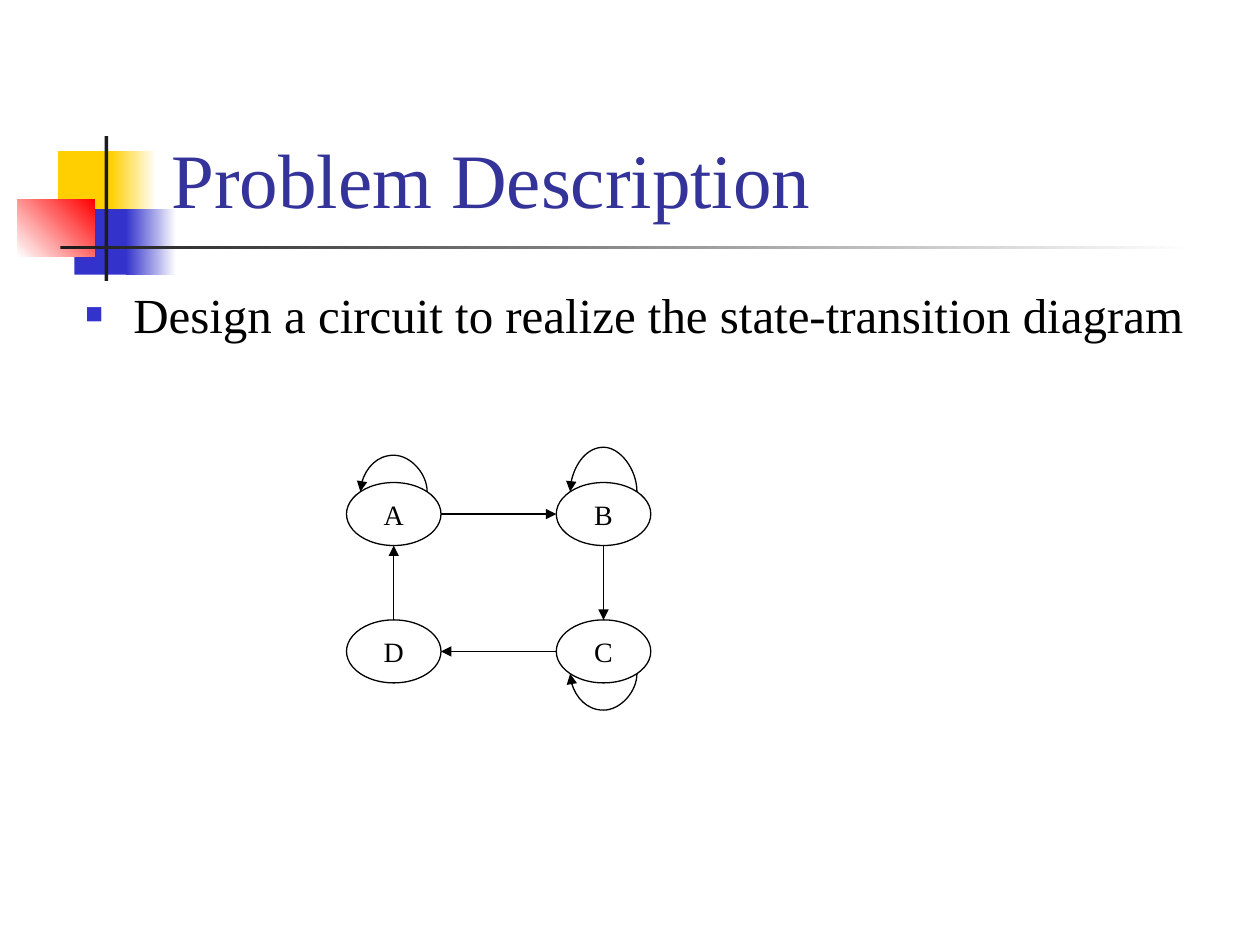
from lxml.etree import SubElement
from pptx import Presentation
from pptx.dml.color import RGBColor
from pptx.enum.shapes import MSO_CONNECTOR, MSO_SHAPE
from pptx.enum.text import MSO_ANCHOR, MSO_AUTO_SIZE, PP_ALIGN
from pptx.oxml.ns import qn
from pptx.util import Inches, Pt

FONT = "Times New Roman"


def color(hex_string):
    return RGBColor.from_string(hex_string)


def write(shape, text, size, hex_string, **frame_format):
    """Fill a shape with one formatted paragraph and return the paragraph."""
    frame = shape.text_frame
    values = {"word_wrap": True, "auto_size": MSO_AUTO_SIZE.NONE, **frame_format}
    for name, value in values.items():
        setattr(frame, name, value)
    paragraph = frame.paragraphs[0]
    run = paragraph.add_run()
    run.text = text
    for name, value in {"name": FONT, "size": Pt(size)}.items():
        setattr(run.font, name, value)
    run.font.color.rgb = color(hex_string)
    return paragraph


presentation = Presentation()
presentation.slide_width = Inches(10)
presentation.slide_height = Inches(7.5)
slide = presentation.slides.add_slide(presentation.slide_layouts[5])
shapes = slide.shapes

# Grid of 10 columns by 7.5 rows
column = presentation.slide_width / 10
row = presentation.slide_height / 7.5

# Title
title = shapes.title
title_box = {"left": 1.26 * column, "top": 0.23 * row,
             "width": 8.52 * column, "height": 1.6 * row}
for name, value in title_box.items():
    setattr(title, name, int(value))
paragraph = write(title, "Problem Description", 44, "333399",
                  vertical_anchor=MSO_ANCHOR.BOTTOM)
paragraph.alignment = PP_ALIGN.LEFT

# Decorative blocks and rules: left, top, width, height, colours, angle
decorations = [
    (0.46, 1.2, 0.48, 0.52, ["FFCF01"], 0),
    (0.88, 1.2, 0.36, 0.52, ["FFCF01", "FFFFFF"], 0),
    (0.59, 1.66, 0.46, 0.52, ["3333CC"], 0),
    (1, 1.66, 0.4, 0.52, ["3333CC", "FFFFFF"], 0),
    (0.14, 1.58, 0.61, 0.46, ["FFFFFF", "FF0000"], 45),
    (0.83, 1.08, 0.03, 1.15, ["1C1C1C"], 0),
    (0.48, 1.95, 9, 0.03, ["1C1C1C", "FFFFFF"], 0),
]
for left, top, width, height, colors, angle in decorations:
    block = shapes.add_shape(MSO_SHAPE.RECTANGLE, int(left * column), int(top * row),
                             int(width * column), int(height * row))
    block.shadow.inherit = False
    block.line.fill.background()
    if len(colors) == 1:
        block.fill.solid()
        block.fill.fore_color.rgb = color(colors[0])
    else:
        block.fill.gradient()
        block.fill.gradient_angle = angle
        for stop, hex_string in zip(block.fill.gradient_stops, colors):
            stop.color.rgb = color(hex_string)
# The title text lies above the decoration
shapes._spTree.append(title._element)

# Bulleted statement
body = shapes.add_textbox(int(0.58 * column), int(2.21 * row),
                          int(9.21 * column), int(0.71 * row))
paragraph = write(body, "Design a circuit to realize the state-transition diagram",
                  28, "000000")
properties = paragraph._p.get_or_add_pPr()
properties.set("marL", str(Inches(0.38)))
properties.set("indent", str(-Inches(0.38)))
bullet_color = SubElement(properties, qn("a:buClr"))
SubElement(bullet_color, qn("a:srgbClr"), val="3333CC")
SubElement(properties, qn("a:buSzPct"), val="60000")
SubElement(properties, qn("a:buFont"), typeface=FONT)
SubElement(properties, qn("a:buChar"), char="■")

# States on a two by two grid, given by their centres
state_width, state_height = 0.75 * column, 0.5 * row
left_x, right_x = 3.125 * column, 4.79 * column
upper_y, lower_y = 4.08 * row, 5.17 * row
states = {"A": (left_x, upper_y), "B": (right_x, upper_y),
          "C": (right_x, lower_y), "D": (left_x, lower_y)}
for label, (x, y) in states.items():
    oval = shapes.add_shape(MSO_SHAPE.OVAL, int(x - state_width / 2),
                            int(y - state_height / 2),
                            int(state_width), int(state_height))
    oval.shadow.inherit = False
    oval.fill.background()
    oval.line.color.rgb = color("000000")
    oval.line.width = Pt(0.75)
    paragraph = write(oval, label, 16, "000000", vertical_anchor=MSO_ANCHOR.MIDDLE)
    paragraph.alignment = PP_ALIGN.CENTER

# Transitions from rim to rim
arrows = []
for start, end in ["AB", "BC", "CD", "DA"]:
    (x1, y1), (x2, y2) = states[start], states[end]
    step_x = (x2 > x1) - (x2 < x1)
    step_y = (y2 > y1) - (y2 < y1)
    arrows.append(shapes.add_connector(
        MSO_CONNECTOR.STRAIGHT,
        int(x1 + step_x * state_width / 2), int(y1 + step_y * state_height / 2),
        int(x2 - step_x * state_width / 2), int(y2 - step_y * state_height / 2)))

# Self loops: a very thin curve turned upright, its bulge set by the adjustment
thin = Pt(0.125)
span = state_width / 2 ** 0.5
rim = state_height / 8 ** 0.5
for label, side, bulge in [("A", -1, 0.32), ("B", -1, 0.39), ("C", 1, 0.32)]:
    x, y = states[label]
    middle = y + side * rim
    loop = shapes.add_connector(
        MSO_CONNECTOR.CURVE, int(x - thin / 2), int(middle - side * span / 2),
        int(x + thin / 2), int(middle + side * span / 2))
    loop_properties = loop._element.spPr
    loop_properties.find(qn("a:xfrm")).set("rot", str(side * 90 * 60000 % 21600000))
    adjustments = loop_properties.find(qn("a:prstGeom")).get_or_add_avLst()
    SubElement(adjustments, qn("a:gd"), name="adj1",
               fmla=f"val {round(bulge * row / thin * 100000)}")
    arrows.append(loop)

for arrow in arrows:
    arrow.line.color.rgb = color("000000")
    arrow.line.width = Pt(0.75)
    SubElement(arrow.line._get_or_add_ln(), qn("a:tailEnd"), type="triangle")
    SubElement(arrow._element.spPr, qn("a:effectLst"))

presentation.save("out.pptx")
